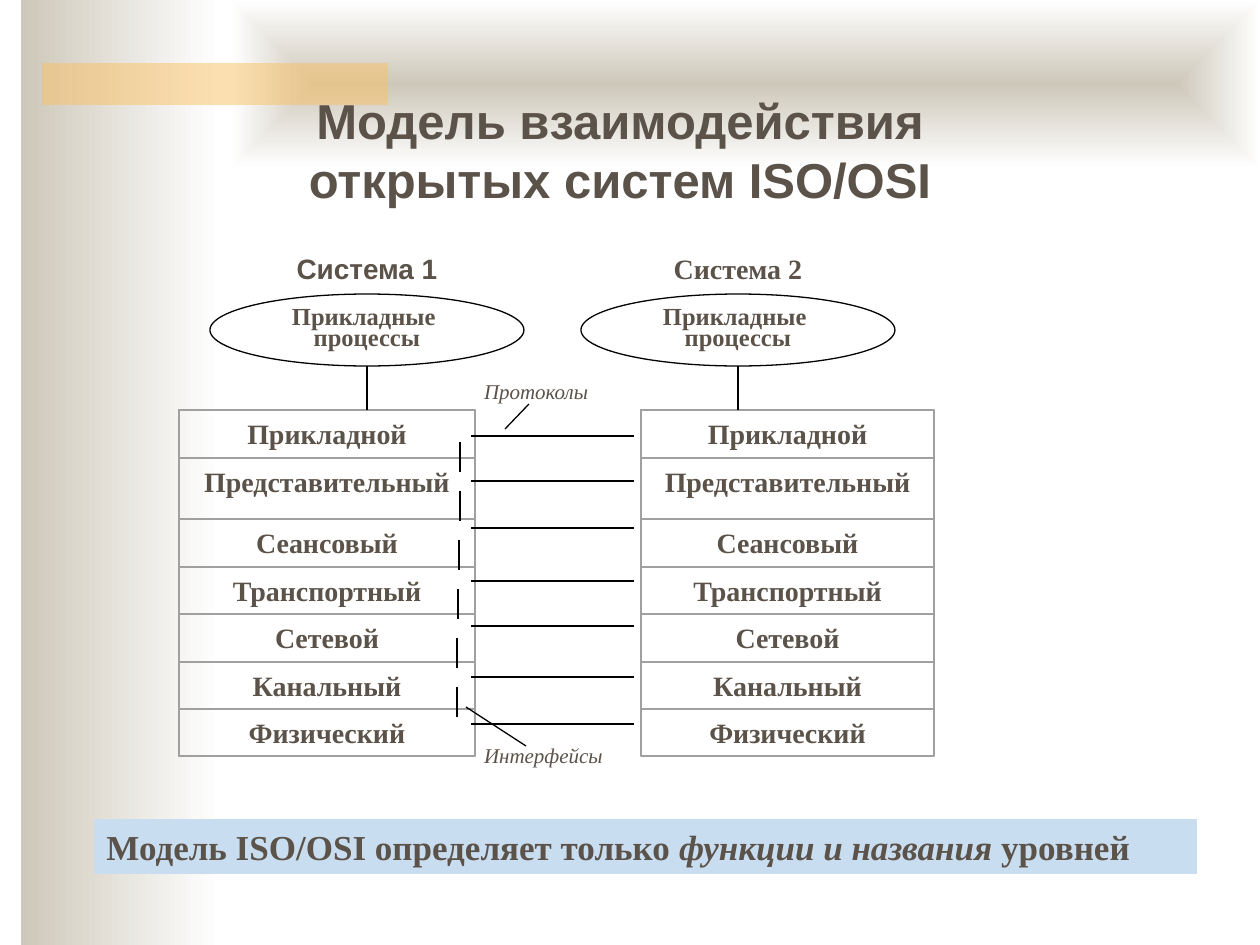
from dataclasses import dataclass

from lxml import etree
from pptx import Presentation
from pptx import util as u
from pptx.dml.color import RGBColor
from pptx.enum import shapes as sh, text as tx
from pptx.oxml import ns

LEVELS = ("Прикладной", "Представительный", "Сеансовый", "Транспортный",
          "Сетевой", "Канальный", "Физический")
HEIGHTS = (48, 61, 48, 47, 48, 47, 47)
LINKS = (26, 71, 118, 171, 216, 267, 314)


@dataclass(frozen=True)
class Theme:
    """Colours, fonts and type sizes of the slide."""
    ink: str = "5B5249"
    sand: str = "CEC8BA"
    white: str = "FFFFFF"
    gold: str = "FAC164"
    blue: str = "C9DDF1"
    grid: str = "A0A0A0"
    black: str = "000000"
    sans: str = "Arial"
    serif: str = "Times New Roman"
    head: int = 28
    note: int = 20
    body: int = 16
    oval: int = 14
    label: int = 12
    rule: float = 0.75


T = Theme()


def px(n):
    """Turn pixels into EMU."""
    return u.Emu(round(n * 914400 / 126))


def tint(name):
    """Turn a hex string into a colour."""
    return RGBColor.from_string(name)


def write(shape, paras, size=T.body, font=T.serif, bold=True, slant=False,
          align=tx.PP_ALIGN.CENTER, anchor=tx.MSO_ANCHOR.TOP, inset=None, space=None):
    """Fill a shape with paragraphs, each a string or a list of (text, italic) runs."""
    frame = shape.text_frame
    frame.word_wrap = True
    frame.auto_size = tx.MSO_AUTO_SIZE.NONE
    frame.vertical_anchor = anchor
    if inset is not None:
        frame.margin_left = frame.margin_right = px(inset)
        frame.margin_top = frame.margin_bottom = px(inset)
    for i, runs in enumerate(paras):
        para = frame.add_paragraph() if i else frame.paragraphs[0]
        para.alignment = align
        para.line_spacing = space
        for words, lean in [(runs, slant)] if isinstance(runs, str) else runs:
            run = para.add_run()
            run.text = words
            face = run.font
            face.size, face.name = u.Pt(size), font
            face.bold, face.italic = bold, lean
            face.color.rgb = tint(T.ink)


def block(slide, box, kind=sh.MSO_SHAPE.RECTANGLE, fill=None, line=None, width=T.rule):
    """Add a preset shape with a plain fill and line."""
    shape = slide.shapes.add_shape(kind, *map(px, box))
    shape.shadow.inherit = False
    if fill:
        shape.fill.solid()
        shape.fill.fore_color.rgb = tint(fill)
    else:
        shape.fill.background()
    if line:
        shape.line.color.rgb = tint(line)
        shape.line.width = u.Pt(width)
    else:
        shape.line.fill.background()
    return shape


def label(slide, box, words, **form):
    """Add a text box without insets."""
    write(slide.shapes.add_textbox(*map(px, box)), [words], inset=0, **form)


def rule(slide, x1, y1, x2, y2, start=None):
    """Add a thin line, joined to the bottom of a start shape if given."""
    line = slide.shapes.add_connector(sh.MSO_CONNECTOR.STRAIGHT, *map(px, (x1, y1, x2, y2)))
    line.line.color.rgb = tint(T.black)
    line.line.width = u.Pt(T.rule)
    etree.SubElement(line._element.spPr, ns.qn("a:effectLst"))
    if start is not None:
        line.begin_connect(start, 2)


def fade(slide, box, inward=False):
    """Add a block that fades from sand to white, across or from its middle."""
    shape = block(slide, box)
    shape.fill.gradient()
    shape.fill.gradient_angle = 0
    for stop, name in zip(shape.fill.gradient_stops, (T.sand, T.white)):
        stop.color.rgb = tint(name)
    if inward:
        old = shape._element.spPr.find(".//" + ns.qn("a:lin"))
        route = etree.Element(ns.qn("a:path"), {"path": "shape"})
        etree.SubElement(route, ns.qn("a:fillToRect"), dict.fromkeys("ltrb", "50000"))
        old.getparent().replace(old, route)


def decor(slide, x, y, w, h):
    """Draw the side band, the top band and the gold bar."""
    fade(slide, (x + 21, y, 199, h))
    fade(slide, (x + 231, y, w - 231, 168), inward=True)
    bar = block(slide, (x + 42, y + 63, 346, 42), fill=T.gold)
    hue = bar._element.spPr.find(".//" + ns.qn("a:srgbClr"))
    etree.SubElement(hue, ns.qn("a:alpha"), val="50000")


def title(slide, x, y, w, h):
    """Place the title above the bands."""
    head = slide.shapes.title
    head.left, head.top, head.width, head.height = map(px, (x, y, w, h))
    write(head, ["Модель взаимодействия открытых систем ISO/OSI"], size=T.head, font=T.sans)
    slide.shapes._spTree.append(head._element)


def stack(slide, x, y, w, h):
    """Draw the seven levels inside one frame."""
    top = y
    for name, high in zip(LEVELS, HEIGHTS):
        row = block(slide, (x, top, w, high), line=T.grid, width=0)
        write(row, [name])
        top += high
    block(slide, (x, y, w, h), line=T.grid)


def system(slide, x, y, w, h, name, font):
    """Draw a caption, its oval of processes and the stem below."""
    label(slide, (x, y, w, 36), name, font=font)
    oval = block(slide, (x, y + 42, w, 72), sh.MSO_SHAPE.OVAL, line=T.black)
    write(oval, ["Прикладные ", "процессы"], size=T.oval, inset=0,
          anchor=tx.MSO_ANCHOR.MIDDLE, space=0.7)
    mid = x + w // 2
    rule(slide, mid, y + 114, mid, y + h, start=oval)


def links(slide, x, y, w, h):
    """Draw the protocol lines, the interface ticks and their labels."""
    for drop in LINKS:
        rule(slide, x, y + drop, x + w, y + drop)
    for i in range(len(LEVELS) - 1):
        tick, top = x - 11 - 3 * i // 4, y + 32 + 49 * i
        rule(slide, tick, top, tick, top + 30)
    form = dict(size=T.label, bold=False, slant=True, align=tx.PP_ALIGN.LEFT)
    label(slide, (x + 13, y - 31, 146, 40), "Протоколы", **form)
    label(slide, (x + 13, y + h - 13, 146, 44), "Интерфейсы", **form)
    rule(slide, x + 58, y - 6, x + 34, y + 19)
    rule(slide, x - 5, y + 297, x + 55, y + 336)


def note(slide, x, y, w, h):
    """Draw the closing statement on its blue strip."""
    runs = [("Модель ISO/OSI определяет только ", False),
            ("функции и названия", True), (" уровней", False)]
    write(block(slide, (x, y, w, h), fill=T.blue), [runs],
          size=T.note, align=tx.PP_ALIGN.LEFT)


def main():
    """Build the slide and save it."""
    deck = Presentation()
    deck.slide_width, deck.slide_height = px(1260), px(945)
    slide = deck.slides.add_slide(deck.slide_layouts[5])
    decor(slide, 0, 0, 1260, 945)
    title(slide, 179, 84, 882, 131)
    stack(slide, 641, 410, 293, 346)
    stack(slide, 179, 410, 296, 346)
    links(slide, 471, 410, 163, 346)
    system(slide, 210, 252, 314, 158, "Система 1", T.sans)
    system(slide, 581, 252, 314, 158, "Система 2", T.serif)
    note(slide, 94, 819, 1103, 55)
    deck.save("out.pptx")


if __name__ == "__main__":
    main()
